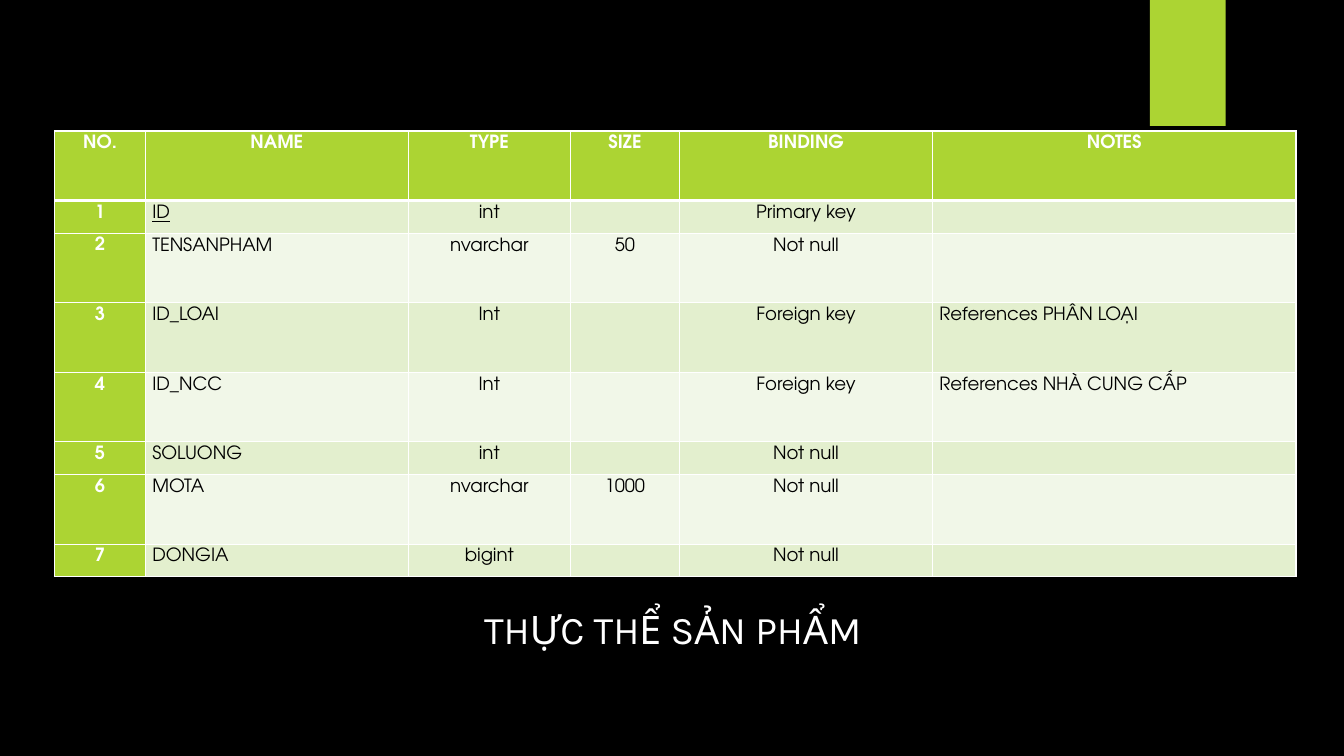
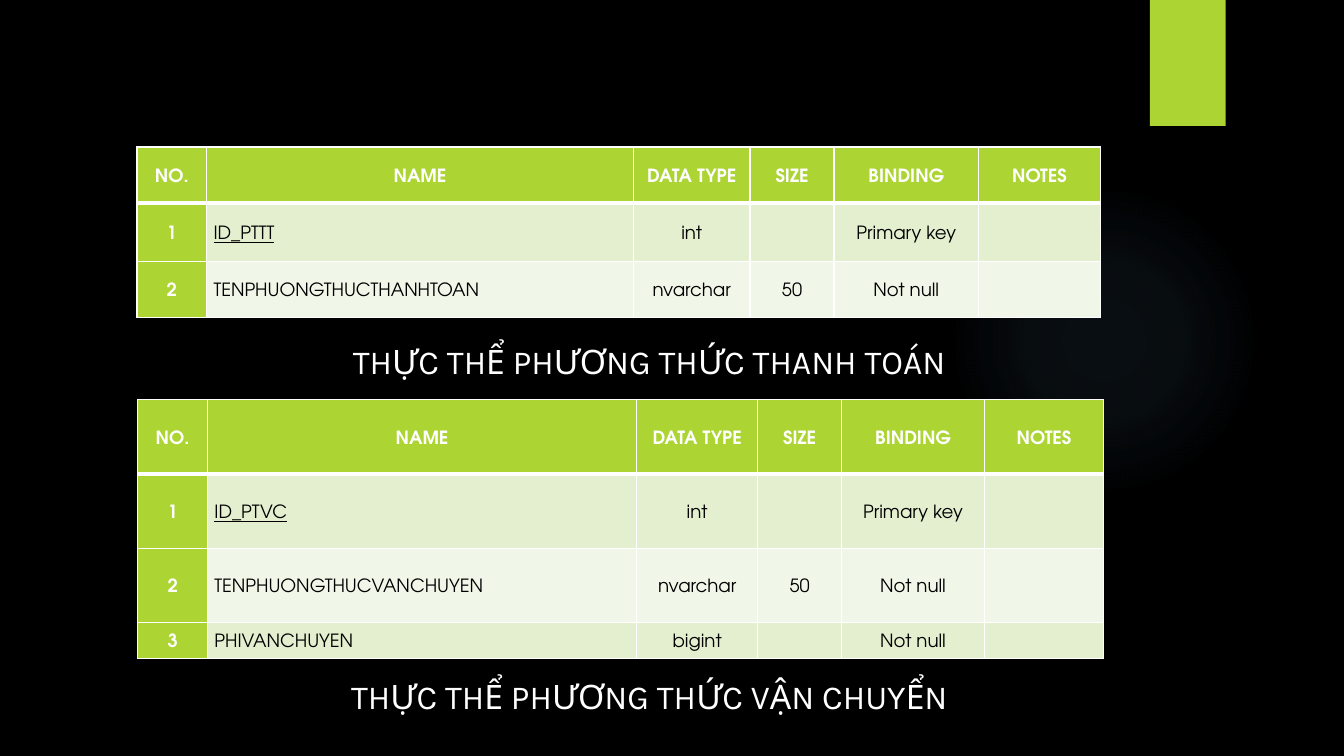
from dataclasses import dataclass

from pptx import Presentation
from pptx.dml.color import RGBColor
from pptx.enum.shapes import MSO_SHAPE
from pptx.enum.text import MSO_ANCHOR, MSO_AUTO_SIZE, PP_ALIGN
from pptx.oxml import parse_xml
from pptx.oxml.ns import nsdecls, qn
from pptx.util import Inches, Pt

RECT, OVAL = MSO_SHAPE.RECTANGLE, MSO_SHAPE.OVAL
LEFT, MID = PP_ALIGN.LEFT, PP_ALIGN.CENTER
TOP, MIDDLE = MSO_ANCHOR.TOP, MSO_ANCHOR.MIDDLE
GROW = MSO_AUTO_SIZE.SHAPE_TO_FIT_TEXT
TITLE_ONLY = 5
COLS, ROWS = 160, 90
CELL = Inches(1) / 12


@dataclass(frozen=True)
class Theme:
    black: str = "000000"
    white: str = "FFFFFF"
    lime: str = "ACD433"
    bands: tuple = ("E3EFCE", "F1F7E8")
    glow: str = "7AC4F0"
    fades: tuple = ((0, 7), (36, 6), (69, 0))
    head: str = "Karla"
    body: str = "TeX Gyre Adventor"
    large: int = 28
    small: int = 24
    text: int = 13
    thin: int = 1
    thick: int = 3


def grid(*units):
    """Turn grid units into EMU."""
    return [round(unit * CELL) for unit in units]


def rgb(code):
    return RGBColor.from_string(code)


class Deck:
    """Holds the style and the slide being drawn."""

    def __init__(self, theme):
        self.theme = theme
        self.prs = Presentation()
        self.prs.slide_width, self.prs.slide_height = grid(COLS, ROWS)
        fill = self.prs.slide_master.background.fill
        fill.solid()
        fill.fore_color.rgb = rgb(theme.black)

    def page(self):
        layout = self.prs.slide_layouts[TITLE_ONLY]
        self.slide = self.prs.slides.add_slide(layout)
        self.glow(112.9, 22, 37, 37)
        self.shape(RECT, 136.9, 0, 9, 15, self.theme.lime)

    def shape(self, kind, x, y, w, h, color):
        shape = self.slide.shapes.add_shape(kind, *grid(x, y, w, h))
        shape.shadow.inherit = False
        shape.line.fill.background()
        shape.fill.solid()
        shape.fill.fore_color.rgb = rgb(color)
        return shape

    def glow(self, x, y, w, h):
        """Draw a disc that fades out from its centre."""
        color = self.theme.glow
        props = self.shape(OVAL, x, y, w, h, color).element.spPr
        stops = "".join(
            f'<a:gs pos="{pos * 1000}"><a:srgbClr val="{color}">'
            f'<a:alpha val="{alpha * 1000}"/></a:srgbClr></a:gs>'
            for pos, alpha in self.theme.fades)
        fade = parse_xml(
            f'<a:gradFill {nsdecls("a")}><a:gsLst>{stops}</a:gsLst>'
            '<a:path path="circle"><a:fillToRect l="50000" t="50000" '
            'r="50000" b="50000"/></a:path></a:gradFill>')
        props.replace(props.find(qn("a:solidFill")), fade)

    def title(self, text, x, y, w, h, size):
        box = self.slide.shapes.title
        box.left, box.top, box.width, box.height = grid(x, y, w, h)
        self.head(box, text, size)

    def caption(self, text, x, y, w, h, size):
        box = self.slide.shapes.add_textbox(*grid(x, y, w, h))
        self.head(box, text, size)

    def head(self, box, text, size):
        frame = box.text_frame
        frame.text = text
        frame.word_wrap = True
        frame.auto_size = GROW
        frame.vertical_anchor = TOP
        para = frame.paragraphs[0]
        para.alignment = MID
        self.font(para, self.theme.head, size, self.theme.white)

    def font(self, para, name, size, color, bold=False, under=False):
        for run in para.runs:
            font = run.font
            font.name, font.size = name, Pt(size)
            font.color.rgb = rgb(color)
            font.bold, font.underline = bold, under

    def table(self, x, y, widths, heights, rows, anchor=MIDDLE):
        """Draw a field list; the first field is the underlined key."""
        frame = self.slide.shapes.add_table(
            len(rows), len(widths), *grid(x, y, sum(widths), sum(heights)))
        table = frame.table
        table.first_col = True
        for col, width in zip(table.columns, grid(*widths)):
            col.width = width
        for row, height in zip(table.rows, grid(*heights)):
            row.height = height
        for r, row in enumerate(rows):
            for c, text in enumerate(row):
                self.cell(table.cell(r, c), r, c, text, anchor)

    def cell(self, cell, r, c, text, anchor):
        theme = self.theme
        lead = r == 0 or c == 0
        self.edges(cell, r)
        cell.fill.solid()
        cell.fill.fore_color.rgb = rgb(
            theme.lime if lead else theme.bands[(r - 1) % 2])
        cell.margin_left = cell.margin_right = Inches(0.07)
        cell.margin_top = cell.margin_bottom = 0
        cell.vertical_anchor = anchor
        cell.text_frame.text = text
        para = cell.text_frame.paragraphs[0]
        para.alignment = LEFT if r and c in (1, 5) else MID
        para.line_spacing = 1.25
        para.space_after = Pt(8)
        self.font(para, theme.body, theme.text,
                  theme.white if lead else theme.black,
                  bold=lead, under=(r, c) == (1, 1))

    def edges(self, cell, r):
        """Rule all four sides, thicker between header and body."""
        theme = self.theme
        heavy = {(0, "B"), (1, "T")}
        for side in "LRTB":
            width = theme.thick if (r, side) in heavy else theme.thin
            cell._tc.get_or_add_tcPr().append(parse_xml(
                f'<a:ln{side} {nsdecls("a")} w="{Pt(width)}"><a:solidFill>'
                f'<a:srgbClr val="{theme.white}"/></a:solidFill></a:ln{side}>'))


def fields(kind, *rows):
    """Put the header above the rows and number them."""
    header = ("NO.", "NAME", kind, "SIZE", "BINDING", "NOTES")
    return [header] + [(str(n), *row) for n, row in enumerate(rows, 1)]


def main():
    theme = Theme()
    deck = Deck(theme)

    deck.page()
    deck.title("THỰC THỂ SẢN PHẨM", 48.6, 71.5, 63, 6.8, theme.large)
    tall, low = 8.28, 3.9
    deck.table(
        6.5, 15.6, (10.8, 31.3, 19.3, 13, 30.1, 43.3),
        (tall, low, tall, tall, tall, low, tall, low),
        fields("TYPE",
               ("ID", "int", "", "Primary key", ""),
               ("TENSANPHAM", "nvarchar", "50", "Not null", ""),
               ("ID_LOAI", "Int", "", "Foreign key", "References PHÂN LOẠI"),
               ("ID_NCC", "Int", "", "Foreign key", "References NHÀ CUNG CẤP"),
               ("SOLUONG", "int", "", "Not null", ""),
               ("MOTA", "nvarchar", "1000", "Not null", ""),
               ("DONGIA", "bigint", "", "Not null", "")),
        TOP)

    deck.page()
    deck.title("THỰC THỂ PHƯƠNG THỨC THANH TOÁN",
               37.9, 40, 78.8, 6, theme.small)
    deck.caption("THỰC THỂ PHƯƠNG THỨC VẬN CHUYỂN",
                 37.9, 79.9, 78.8, 6, theme.small)
    deck.table(
        16.3, 17.5, (8.3, 50.8, 13.9, 10, 17.2, 14.5), (6.7, 6.9, 6.7),
        fields("DATA TYPE",
               ("ID_PTTT", "int", "", "Primary key", ""),
               ("TENPHUONGTHUCTHANHTOAN", "nvarchar", "50", "Not null", "")))
    deck.table(
        16.4, 47.6, (8.3, 51.1, 14.4, 10, 17, 14.2), (8.85, 8.85, 8.85, 4.2),
        fields("DATA TYPE",
               ("ID_PTVC", "int", "", "Primary key", ""),
               ("TENPHUONGTHUCVANCHUYEN", "nvarchar", "50", "Not null", ""),
               ("PHIVANCHUYEN", "bigint", "", "Not null", "")))

    deck.prs.save("out.pptx")


if __name__ == "__main__":
    main()
